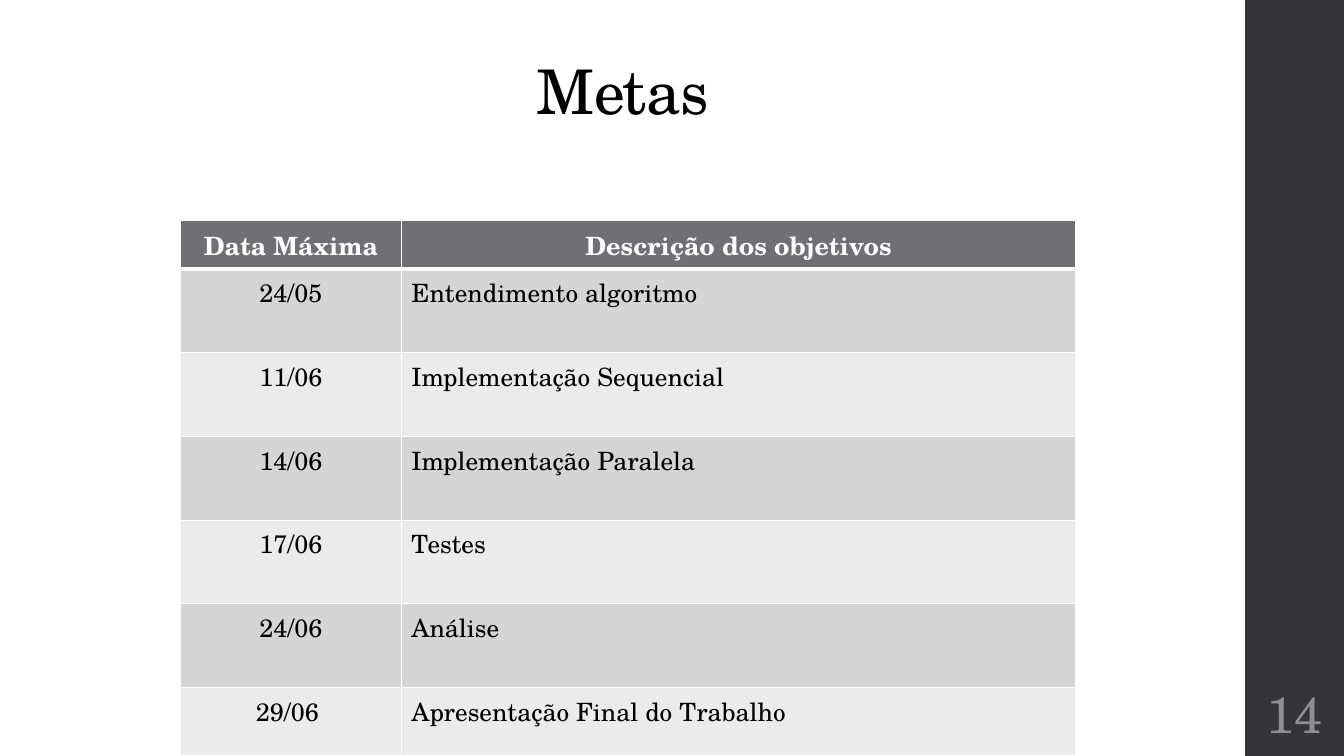
"""Build the goals slide: a title, a schedule table and a numbered side band."""
import pptx
import pptx.dml.color
import pptx.enum.shapes
import pptx.enum.text
import pptx.oxml.ns
import pptx.util
from lxml import etree
from pptx.util import Inches

TITLE = "Metas"
PAGE_NUMBER = "14"
HEADER = ("Data Máxima", "Descrição dos objetivos")
GOALS = [
    ("24/05", "Entendimento algoritmo"),
    ("11/06", "Implementação Sequencial"),
    ("14/06", "Implementação Paralela"),
    ("17/06", "Testes"),
    ("24/06", "Análise"),
    ("29/06 ", "Apresentação Final do Trabalho"),
]
COLORS = {
    "band": "353537", "number": "8E8E94", "header": "6F6F74",
    "odd": "D5D5D6", "even": "EBEBEB", "white": "FFFFFF", "black": "000000",
}
FONT = "TeX Gyre Schola"
PAGE_WIDTH, PAGE_HEIGHT = 13.33, 7.5
BAND_LEFT = 12.35
TABLE_LEFT, TABLE_TOP = 1.79, 2.19
COLUMN_WIDTHS = (2.19, 6.69)
HEADER_HEIGHT, ROW_HEIGHT = 0.48, 0.83
CENTER = pptx.enum.text.PP_ALIGN.CENTER
LEFT = pptx.enum.text.PP_ALIGN.LEFT


def rgb(name):
    """Return the named colour."""
    return pptx.dml.color.RGBColor.from_string(COLORS[name])


def write(frame, text, size, color, align=CENTER, bold=False):
    """Put one formatted paragraph in a text frame and return it."""
    frame.text = text
    para = frame.paragraphs[0]
    para.alignment = align
    font = para.runs[0].font
    font.name, font.size, font.bold = FONT, pptx.util.Pt(size), bold
    font.color.rgb = rgb(color)
    return para


def add_borders(cell, bottom):
    """Draw white cell borders, with the bottom width in points."""
    properties = cell._tc.get_or_add_tcPr()
    for side, width in (("L", 1), ("R", 1), ("T", 1), ("B", bottom)):
        line = etree.SubElement(properties, pptx.oxml.ns.qn(f"a:ln{side}"),
                                w=str(pptx.util.Pt(width)))
        fill = etree.SubElement(line, pptx.oxml.ns.qn("a:solidFill"))
        etree.SubElement(fill, pptx.oxml.ns.qn("a:srgbClr"), val=COLORS["white"])


def add_title(page):
    """Place and format the title."""
    title = page.shapes.title
    title.left, title.top = Inches(0), Inches(0.4)
    title.width, title.height = Inches(BAND_LEFT), Inches(0.92)
    title.text_frame.vertical_anchor = pptx.enum.text.MSO_ANCHOR.BOTTOM
    para = write(title.text_frame, TITLE, 44, "black")
    para.line_spacing = 0.9
    para.runs[0].font._element.set("spc", "-50")


def add_band(page):
    """Draw the side band and the page number."""
    width = Inches(PAGE_WIDTH - BAND_LEFT)
    band = page.shapes.add_shape(pptx.enum.shapes.MSO_SHAPE.RECTANGLE,
                                 Inches(BAND_LEFT), 0, width, Inches(PAGE_HEIGHT))
    band.shadow.inherit = False
    band.fill.solid()
    band.fill.fore_color.rgb = rgb("band")
    band.line.fill.background()
    box = page.shapes.add_textbox(Inches(BAND_LEFT), Inches(6.75), width, Inches(0.65))
    frame = box.text_frame
    frame.word_wrap = True
    frame.vertical_anchor = pptx.enum.text.MSO_ANCHOR.MIDDLE
    frame.margin_left = frame.margin_right = Inches(0.05)
    write(frame, PAGE_NUMBER, 36, "number")


def add_schedule(page):
    """Draw the table of goals down to the foot of the slide."""
    rows = [HEADER, *GOALS]
    heights = [HEADER_HEIGHT] + [ROW_HEIGHT] * (len(GOALS) - 1)
    heights.append(PAGE_HEIGHT - TABLE_TOP - sum(heights))
    table = page.shapes.add_table(
        len(rows), len(HEADER), Inches(TABLE_LEFT), Inches(TABLE_TOP),
        Inches(sum(COLUMN_WIDTHS)), Inches(sum(heights))).table
    for column, width in zip(table.columns, COLUMN_WIDTHS):
        column.width = Inches(width)
    for row_index, (texts, height) in enumerate(zip(rows, heights)):
        table.rows[row_index].height = Inches(height)
        is_header = row_index == 0
        shade = "header" if is_header else ("even", "odd")[row_index % 2]
        for column_index, text in enumerate(texts):
            cell = table.cell(row_index, column_index)
            add_borders(cell, 3 if is_header else 1)
            cell.fill.solid()
            cell.fill.fore_color.rgb = rgb(shade)
            align = CENTER if is_header or column_index == 0 else LEFT
            write(cell.text_frame, text, 18, "white" if is_header else "black",
                  align, is_header)


def main():
    """Build and save the deck."""
    deck = pptx.Presentation()
    deck.slide_width, deck.slide_height = Inches(PAGE_WIDTH), Inches(PAGE_HEIGHT)
    page = deck.slides.add_slide(deck.slide_layouts.get_by_name("Title Only"))
    add_band(page)
    add_title(page)
    add_schedule(page)
    deck.save("out.pptx")


if __name__ == "__main__":
    main()
